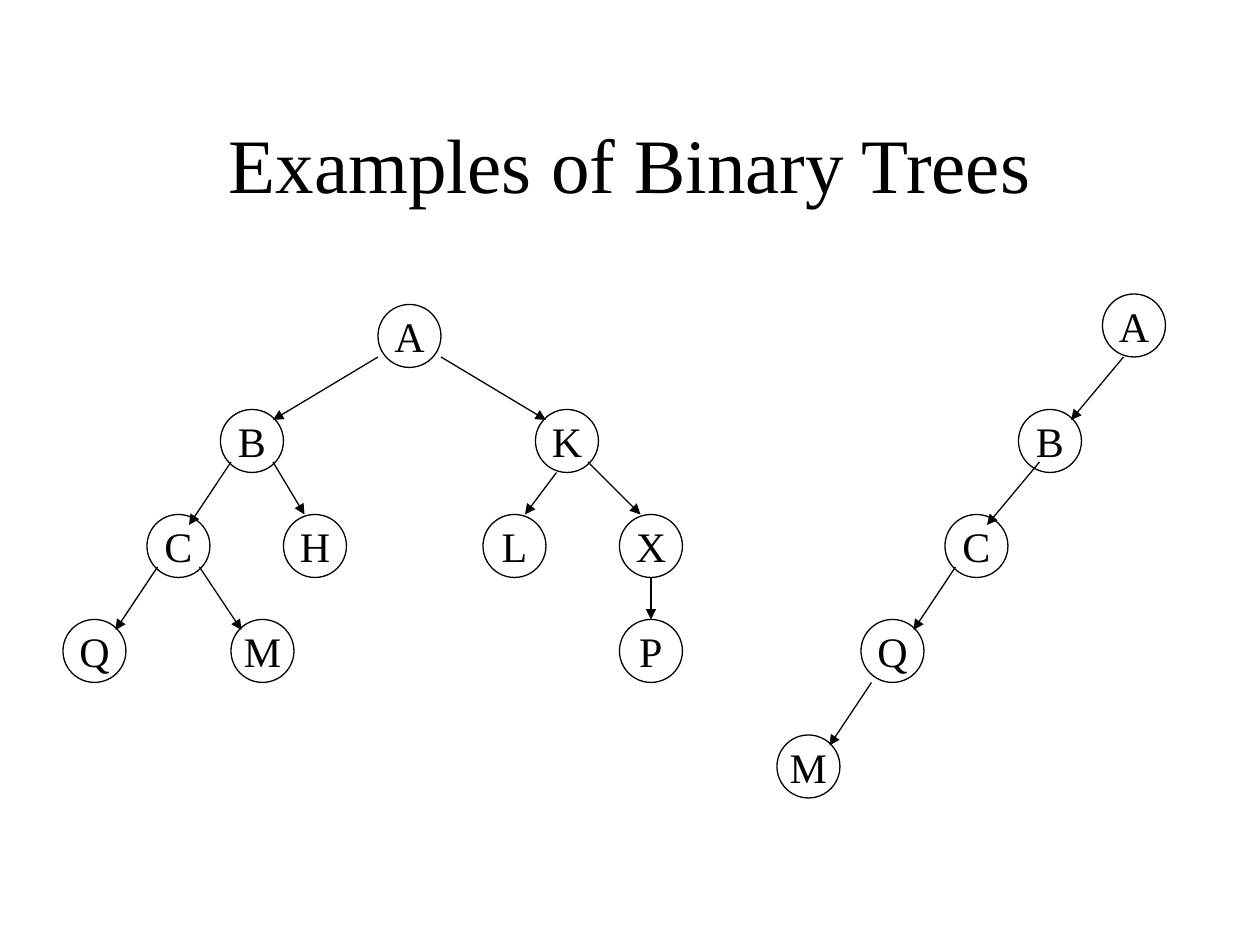
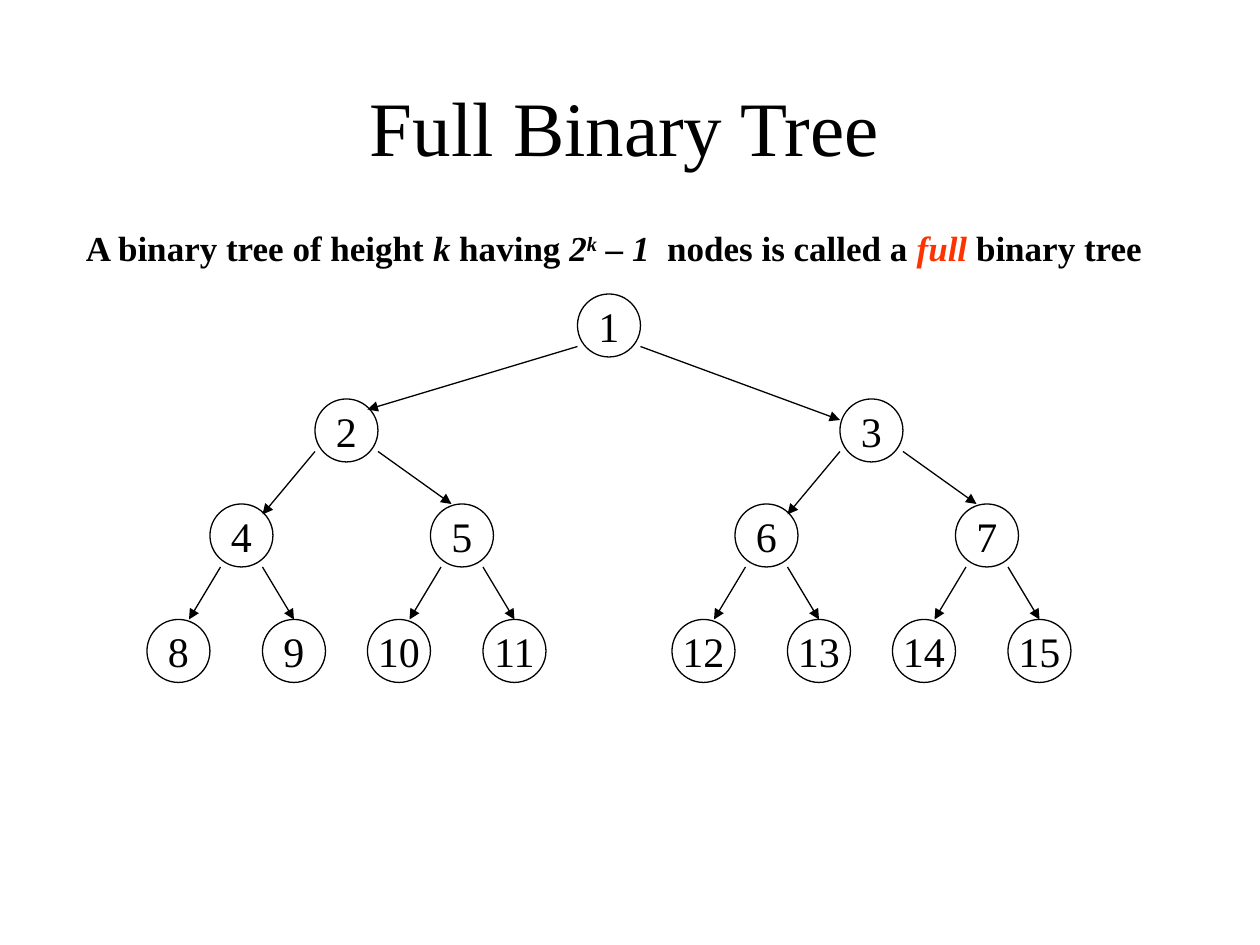
from dataclasses import dataclass
from typing import NamedTuple

from lxml import etree
from pptx import Presentation
from pptx import util as u
from pptx.dml.color import RGBColor
from pptx.enum import shapes, text
from pptx.oxml.ns import qn

BLACK = RGBColor(0x00, 0x00, 0x00)
WHITE = RGBColor(0xFF, 0xFF, 0xFF)
HIGHLIGHT = RGBColor(0xFF, 0x33, 0x00)
FONT = "Times New Roman"
TITLE_SIZE, STATEMENT_SIZE, LABEL_SIZE = u.Pt(44), u.Pt(20), u.Pt(24)
LINE_WIDTH = u.Pt(0.75)
BLANK_LAYOUT = 6
NODE_SIZE = 6  # grid steps


class Point(NamedTuple):
    x: float
    y: float


class Box(NamedTuple):
    left: float
    top: float
    width: float
    height: float


@dataclass(frozen=True)
class Edge:
    """Link between two nodes; start and end are measured from each node's top left corner."""
    parent: str
    child: str
    start: Point
    end: Point


@dataclass(frozen=True)
class Tree:
    nodes: dict[str, Point]
    edges: list[Edge]


@dataclass(frozen=True)
class Phrase:
    wording: str
    italic: bool = False
    color: RGBColor = BLACK
    superscript: bool = False


def grid(steps: float) -> u.Length:
    """Every position lies on a grid of twelve steps to 2.54 cm."""
    return u.Cm(steps * 2.54 / 12)


def style_font(font, size: u.Length, bold: bool = False) -> None:
    font.name = FONT
    font.size = size
    font.bold = bold
    font.color.rgb = BLACK


def add_slide(deck, title: str, title_box: Box):
    slide = deck.slides.add_slide(deck.slide_layouts[BLANK_LAYOUT])
    slide.background.fill.solid()
    slide.background.fill.fore_color.rgb = WHITE
    frame = slide.shapes.add_textbox(*map(grid, title_box)).text_frame
    frame.word_wrap = True
    frame.vertical_anchor = text.MSO_ANCHOR.MIDDLE
    heading = frame.paragraphs[0]
    heading.text = title
    heading.alignment = text.PP_ALIGN.CENTER
    style_font(heading.font, TITLE_SIZE)
    return slide


def add_statement(slide, box: Box, phrases: list[Phrase]) -> None:
    frame = slide.shapes.add_textbox(*map(grid, box)).text_frame
    frame.word_wrap = True
    statement = frame.paragraphs[0]
    style_font(statement.font, STATEMENT_SIZE, bold=True)
    for phrase in phrases:
        run = statement.add_run()
        run.text = phrase.wording
        run.font.italic = phrase.italic
        run.font.color.rgb = phrase.color
        if phrase.superscript:
            run._r.get_or_add_rPr().set("baseline", "30000")


def draw_node(group, label: str, corner: Point) -> None:
    circle = group.shapes.add_shape(
        shapes.MSO_SHAPE.OVAL, grid(corner.x), grid(corner.y),
        grid(NODE_SIZE), grid(NODE_SIZE))
    circle.shadow.inherit = False
    circle.fill.background()
    circle.line.color.rgb = BLACK
    circle.line.width = LINE_WIDTH
    frame = circle.text_frame
    frame.word_wrap = False
    frame.vertical_anchor = text.MSO_ANCHOR.MIDDLE
    caption = frame.paragraphs[0]
    caption.text = label
    caption.alignment = text.PP_ALIGN.CENTER
    style_font(caption.font, LABEL_SIZE)


def draw_arrow(group, start: Point, end: Point) -> None:
    arrow = group.shapes.add_connector(
        shapes.MSO_CONNECTOR.STRAIGHT, *map(grid, (*start, *end)))
    arrow.line.color.rgb = BLACK
    arrow.line.width = LINE_WIDTH
    etree.SubElement(arrow.line._get_or_add_ln(), qn("a:tailEnd"), type="triangle")
    etree.SubElement(arrow._element.spPr, qn("a:effectLst"))


def shifted(corner: Point, offset: Point) -> Point:
    return Point(corner.x + offset.x, corner.y + offset.y)


def draw_tree(slide, tree: Tree) -> None:
    group = slide.shapes.add_group_shape()
    for label, corner in tree.nodes.items():
        draw_node(group, label, corner)
    for edge in tree.edges:
        draw_arrow(group, shifted(tree.nodes[edge.parent], edge.start),
                   shifted(tree.nodes[edge.child], edge.end))


BRANCHING_TREE = Tree(
    nodes={
        "A": Point(36, 29),
        "B": Point(21, 39), "K": Point(51, 39),
        "C": Point(14, 49), "H": Point(27, 49), "L": Point(46, 49), "X": Point(59, 49),
        "Q": Point(6, 59), "M": Point(22, 59), "P": Point(59, 59),
    },
    edges=[
        Edge("A", "B", Point(0, 5), Point(5, 1)),
        Edge("A", "K", Point(6, 5), Point(1, 1)),
        Edge("K", "X", Point(5, 5), Point(2, 0)),
        Edge("K", "L", Point(2, 6), Point(4, 0)),
        Edge("B", "C", Point(1, 5), Point(4, 1)),
        Edge("B", "H", Point(5, 5), Point(2, 0)),
        Edge("X", "P", Point(3, 6), Point(3, 0)),
        Edge("C", "Q", Point(1, 5), Point(5, 1)),
        Edge("C", "M", Point(5, 5), Point(1, 1)),
    ])

LEFT_CHAIN = Tree(
    nodes={"A": Point(105, 28), "B": Point(97, 39), "C": Point(90, 49),
           "Q": Point(82, 59), "M": Point(74, 70)},
    edges=[
        Edge("A", "B", Point(2, 6), Point(5, 1)),
        Edge("B", "C", Point(2, 5), Point(4, 1)),
        Edge("C", "Q", Point(1, 5), Point(5, 1)),
        Edge("Q", "M", Point(1, 6), Point(5, 1)),
    ])


class Branch(NamedTuple):
    """Offset from parent to child, and where their arrow starts and ends."""
    offset: Point
    start: Point
    end: Point


# Left and right branch below each level of the full tree
FULL_TREE_BRANCHES = [
    (Branch(Point(-25, 10), Point(0, 5), Point(5, 1)),
     Branch(Point(25, 10), Point(6, 5), Point(0, 2))),
    (Branch(Point(-10, 10), Point(0, 5), Point(5, 1)),
     Branch(Point(11, 10), Point(6, 5), Point(2, 0))),
    (Branch(Point(-6, 11), Point(1, 6), Point(4, 0)),
     Branch(Point(5, 11), Point(5, 6), Point(3, 0))),
]


def full_tree(root: Point) -> Tree:
    """Number the nodes level by level, so node n has children 2n and 2n + 1."""
    tree = Tree({"1": root}, [])
    for level, branches in enumerate(FULL_TREE_BRANCHES):
        for number in range(2 ** level, 2 ** (level + 1)):
            for side, branch in enumerate(branches):
                parent, child = str(number), str(2 * number + side)
                tree.nodes[child] = shifted(tree.nodes[parent], branch.offset)
                tree.edges.append(Edge(parent, child, branch.start, branch.end))
    return tree


FULL_TREE_DEFINITION = [
    Phrase("A binary tree of height "),
    Phrase("k", italic=True),
    Phrase(" having "),
    Phrase("2", italic=True),
    Phrase("k", italic=True, superscript=True),
    Phrase(" – 1", italic=True),
    Phrase("  nodes is called a "),
    Phrase("full ", italic=True, color=HIGHLIGHT),
    Phrase("binary tree"),
]


def main() -> None:
    deck = Presentation()
    deck.slide_width, deck.slide_height = u.Cm(25.4), u.Cm(19.05)

    examples = add_slide(deck, "Examples of Binary Trees", Box(9, 8, 102, 15))
    draw_tree(examples, BRANCHING_TREE)
    draw_tree(examples, LEFT_CHAIN)

    full = add_slide(deck, "Full Binary Tree", Box(8.5, 7, 102, 10))
    add_statement(full, Box(7, 21, 105, 5.2), FULL_TREE_DEFINITION)
    draw_tree(full, full_tree(Point(55, 28)))

    deck.save("out.pptx")


if __name__ == "__main__":
    main()
